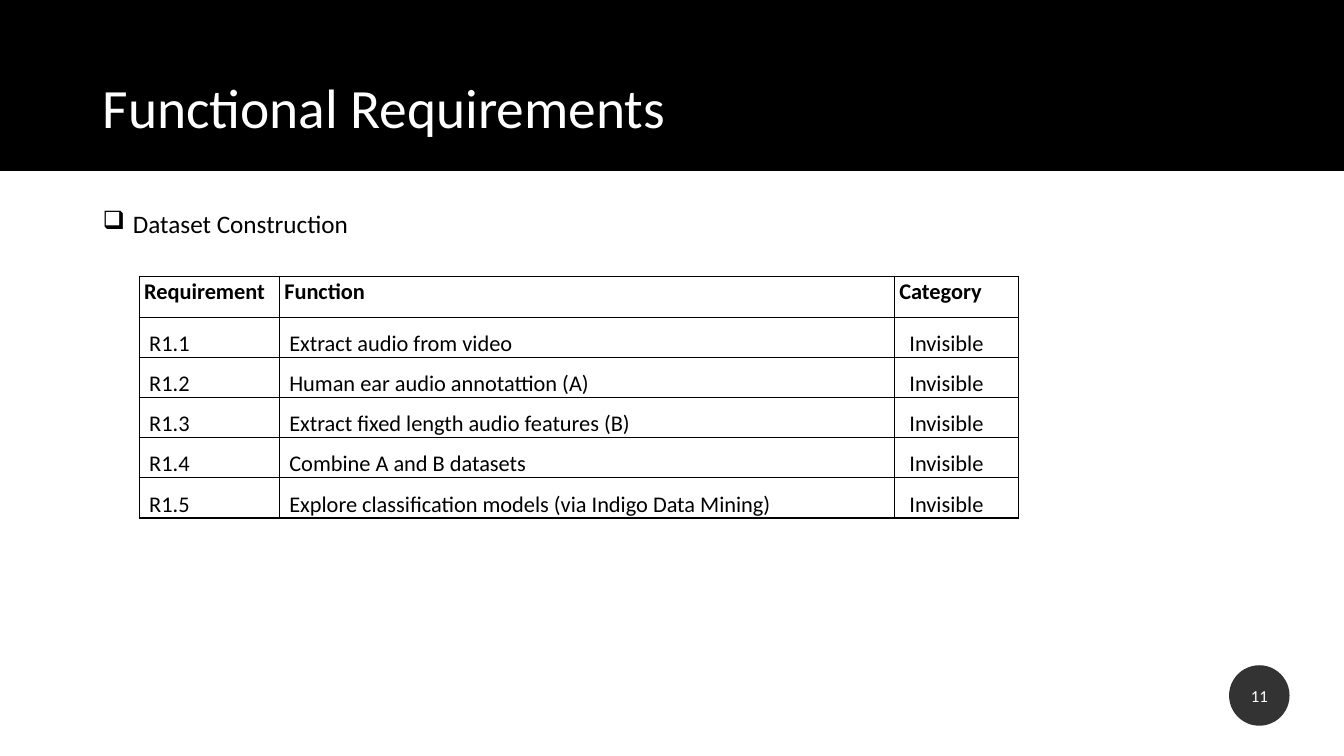
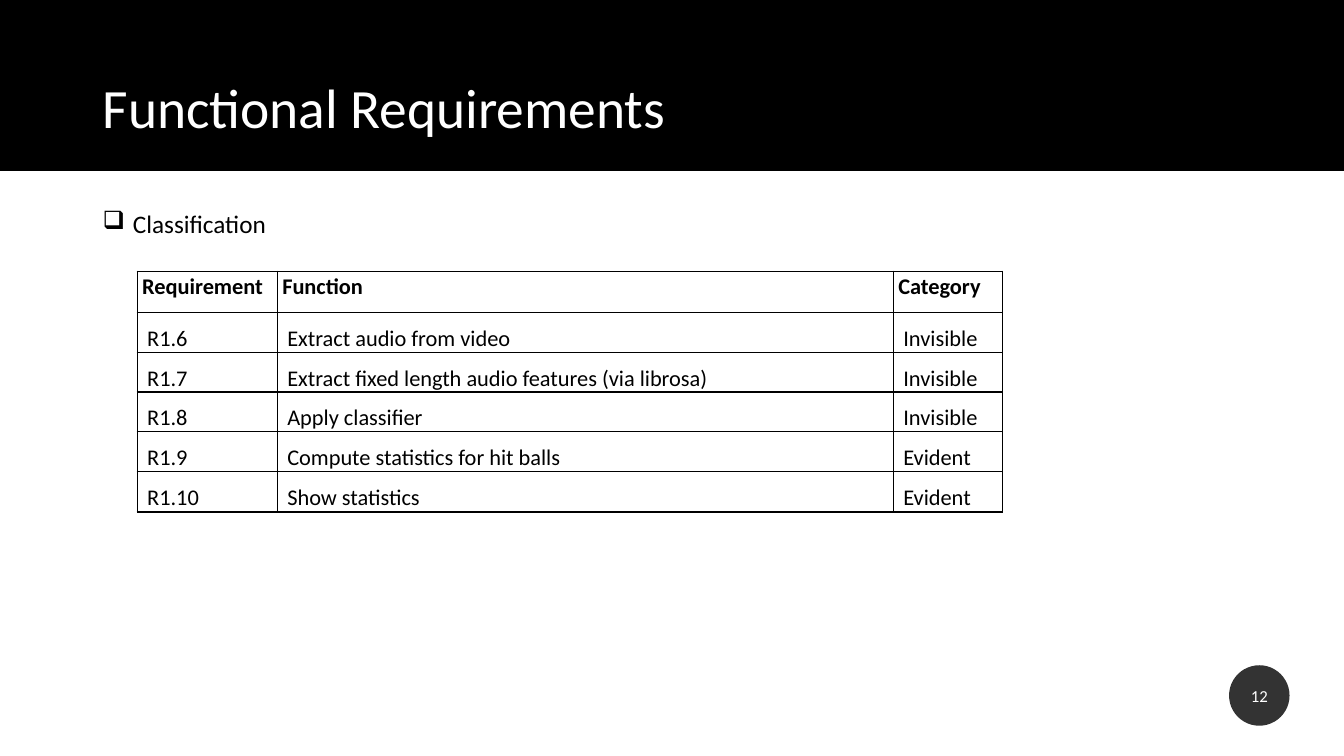
from lxml.etree import SubElement
from pptx import Presentation
from pptx.dml.color import RGBColor
from pptx.enum.shapes import MSO_SHAPE
from pptx.enum.text import MSO_ANCHOR, PP_ALIGN
from pptx.oxml import parse_xml
from pptx.oxml.ns import nsdecls, qn
from pptx.util import Inches, Pt

FONT = "Calibri"
BLACK = "000000"
WHITE = "FFFFFF"
SLIDE_WIDTH = 13.33
TEXT_LEFT, TEXT_WIDTH = 0.92, 11.5
CELL_MARGIN = 0.05
HEADER = ("Requirement", "Function", "Category")


def rgb(color):
    return RGBColor.from_string(color)


def write(tf, text, size, color, spacing=1.0, bold=False):
    """Fill a text frame with one formatted paragraph and return it."""
    tf.word_wrap = True
    p = tf.paragraphs[0]
    p.text = text
    p.line_spacing = spacing
    for r in p.runs:
        r.font.name = FONT
        r.font.size = Pt(size)
        r.font.bold = bold
        r.font.color.rgb = rgb(color)
    return p


def add_shape(s, kind, left, top, width, height):
    sp = s.shapes.add_shape(kind, Inches(left), Inches(top), Inches(width), Inches(height))
    sp.shadow.inherit = False
    sp.fill.solid()
    sp.fill.fore_color.rgb = rgb(BLACK)
    return sp


def add_text(s, top, height):
    return s.shapes.add_textbox(
        Inches(TEXT_LEFT), Inches(top), Inches(TEXT_WIDTH), Inches(height)).text_frame


def add_title_band(s, title):
    band = add_shape(s, MSO_SHAPE.RECTANGLE, 0, 0, SLIDE_WIDTH, 1.69)
    band.line.color.rgb = rgb(BLACK)
    band.line.width = Pt(1)
    tf = add_text(s, 0.6, 1)
    tf.vertical_anchor = MSO_ANCHOR.MIDDLE
    write(tf, title, 39.6, WHITE, 0.9)


def add_bullet(s, text):
    p = write(add_text(s, 2, 4.76), text, 18, BLACK, 1.07)
    pPr = p._p.get_or_add_pPr()
    pPr.set("marL", str(Inches(0.3)))
    pPr.set("indent", str(-Inches(0.3)))
    SubElement(pPr, qn("a:buChar")).set("char", "❑")


def add_page_number(s, number):
    badge = add_shape(s, MSO_SHAPE.OVAL, 12.19, 6.6, 0.6, 0.6)
    badge.line.fill.background()
    color = badge.fill._xPr.find(qn("a:solidFill"))[0]
    SubElement(color, qn("a:alpha")).set("val", "80000")
    tf = badge.text_frame
    tf.margin_left = tf.margin_right = tf.margin_top = tf.margin_bottom = 0
    tf.vertical_anchor = MSO_ANCHOR.MIDDLE
    write(tf, str(number), 12, WHITE).alignment = PP_ALIGN.CENTER


def style_cell(cell, margin_left, anchor):
    cell.margin_left = Inches(margin_left)
    cell.margin_right = Inches(CELL_MARGIN)
    cell.margin_top = cell.margin_bottom = 0
    cell.vertical_anchor = anchor
    tcPr = cell._tc.get_or_add_tcPr()
    for side in ("lnL", "lnR", "lnT", "lnB"):
        tcPr.append(parse_xml(
            f'<a:{side} {nsdecls("a")} w="{Pt(1)}"><a:solidFill>'
            f'<a:srgbClr val="{BLACK}"/></a:solidFill></a:{side}>'))
    cell.fill.background()


def add_requirements(s, left, top, widths, heights, margins, rows):
    """Draw the header and the rows; margins are the left insets of the body columns."""
    table = s.shapes.add_table(
        len(rows) + 1, len(HEADER), Inches(left), Inches(top),
        Inches(sum(widths)), Inches(sum(heights))).table
    table.first_row = table.horz_banding = False
    for column, width in zip(table.columns, widths):
        column.width = Inches(width)
    for row, height in zip(table.rows, heights):
        row.height = Inches(height)
    for i, texts in enumerate((HEADER, *rows)):
        is_header = i == 0
        anchor = MSO_ANCHOR.TOP if is_header else MSO_ANCHOR.BOTTOM
        for j, text in enumerate(texts):
            cell = table.cell(i, j)
            style_cell(cell, CELL_MARGIN if is_header else margins[j], anchor)
            write(cell.text_frame, text, 16, BLACK, 1.07, is_header)


def add_slide(prs, number, topic, **table):
    s = prs.slides.add_slide(prs.slide_layouts[6])
    add_title_band(s, "Functional Requirements")
    add_bullet(s, topic)
    add_page_number(s, number)
    add_requirements(s, **table)


def main():
    prs = Presentation()
    prs.slide_width = Inches(SLIDE_WIDTH)
    prs.slide_height = Inches(7.5)
    add_slide(
        prs, 11, "Dataset Construction",
        left=1.38, top=2.74, widths=(1.39, 6.1, 1.23),
        heights=(0.41, 0.4, 0.39, 0.4, 0.4, 0.4), margins=(0.1, 0.1, 0.15),
        rows=[
            ("R1.1", "Extract audio from video", "Invisible"),
            ("R1.2", "Human ear audio annotattion (A)", "Invisible"),
            ("R1.3", "Extract fixed length audio features (B)", "Invisible"),
            ("R1.4", "Combine A and B datasets", "Invisible"),
            ("R1.5", "Explore classification models (via Indigo Data Mining)", "Invisible"),
        ])
    add_slide(
        prs, 12, "Classification",
        left=1.36, top=2.69, widths=(1.39, 6.11, 1.08),
        heights=(0.41, 0.4, 0.39, 0.39, 0.4, 0.4), margins=(0.1, 0.1, 0.1),
        rows=[
            ("R1.6", "Extract audio from video", "Invisible"),
            ("R1.7", "Extract fixed length audio features (via librosa)", "Invisible"),
            ("R1.8", "Apply classifier", "Invisible"),
            ("R1.9", "Compute statistics for hit balls", "Evident"),
            ("R1.10", "Show statistics", "Evident"),
        ])
    prs.save("out.pptx")


if __name__ == "__main__":
    main()
